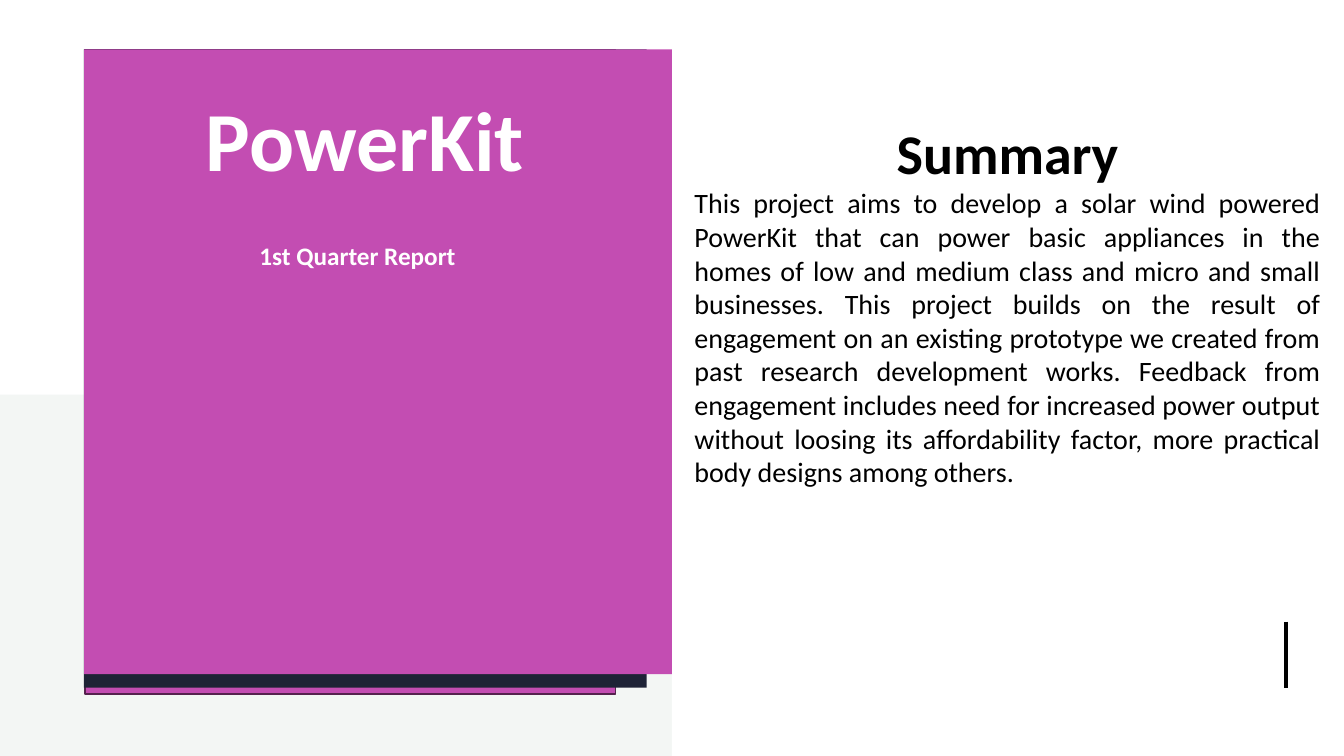
from lxml.etree import SubElement
from pptx import Presentation
from pptx.dml.color import RGBColor
from pptx.enum.shapes import MSO_CONNECTOR, MSO_SHAPE
from pptx.enum.text import MSO_ANCHOR, PP_ALIGN
from pptx.oxml.ns import qn
from pptx.util import Emu, Pt

EMU_PER_PX = 9525
W, H = 1280, 720
FONT = "Calibri"
COLORS = {
    "white": "FFFFFF",
    "mist": "F3F6F4",
    "magenta": "C34DB2",
    "plum": "55224E",
    "navy": "1E2336",
    "black": "000000",
}
SUMMARY = (
    "This project aims to develop a solar wind powered PowerKit that can power "
    "basic appliances in the homes of low and medium class and micro and small "
    "businesses. This project builds on the result of engagement on an existing "
    "prototype we created from past research development works. Feedback from "
    "engagement includes need for increased power output without loosing its "
    "affordability factor, more practical body designs among others."
)


def px(n):
    return Emu(n * EMU_PER_PX)


def rgb(name):
    return RGBColor.from_string(COLORS[name])


def add_rect(s, x, y, w, h, fill, line=None):
    sp = s.shapes.add_shape(MSO_SHAPE.RECTANGLE, px(x), px(y), px(w), px(h))
    sp.shadow.inherit = False
    sp.fill.solid()
    sp.fill.fore_color.rgb = rgb(fill)
    if line:
        sp.line.color.rgb = rgb(line)
        sp.line.width = Pt(1)
    else:
        sp.line.fill.background()
    return sp


def add_run(p, text, size, color, bold=False):
    r = p.add_run()
    r.text = text
    r.font.name = FONT
    r.font.size = Pt(size)
    r.font.bold = bold
    r.font.color.rgb = rgb(color)


def setup_text(sp):
    tf = sp.text_frame
    tf.word_wrap = True
    tf.vertical_anchor = MSO_ANCHOR.MIDDLE
    p = tf.paragraphs[0]
    p.alignment = PP_ALIGN.CENTER
    return tf, p


def add_label(s, x, y, w, h, text, size):
    sp = add_rect(s, x, y, w, h, "magenta")
    tf, p = setup_text(sp)
    add_run(p, text, size, "white", True)


def add_summary(s, x, y, w, h):
    sp = s.shapes.add_textbox(px(x), px(y), px(w), px(h))
    tf, p = setup_text(sp)
    add_run(p, "Summary", 40, "black", True)
    p = tf.add_paragraph()
    p.alignment = PP_ALIGN.JUSTIFY
    add_run(p, SUMMARY, 20, "black")


def add_rule(s, x, top, bottom):
    cn = s.shapes.add_connector(
        MSO_CONNECTOR.STRAIGHT, px(x), px(top), px(x), px(bottom)
    )
    cn.line.color.rgb = rgb("black")
    cn.line.width = Pt(3)
    SubElement(cn._element.spPr, qn("a:effectLst"))


def main():
    prs = Presentation()
    prs.slide_width, prs.slide_height = px(W), px(H)
    s = prs.slides.add_slide(prs.slide_layouts[6])

    add_rect(s, 0, 0, W, H, "mist")
    add_rect(s, 0, 0, W, 376, "white")
    add_rect(s, W // 2, 0, W // 2, H, "white")

    add_rect(s, 81, 47, 505, 614, "magenta", "plum")
    add_rule(s, 1225, 592, 655)
    add_rect(s, 80, 47, 536, 608, "navy")
    add_rect(s, 80, 47, 560, 595, "magenta")

    add_label(s, 122, 71, 451, 120, "PowerKit", 60)
    add_summary(s, 652, -15, 615, 608)
    add_label(s, 108, 197, 465, 93, "1st Quarter Report", 18)

    prs.save("out.pptx")


if __name__ == "__main__":
    main()
